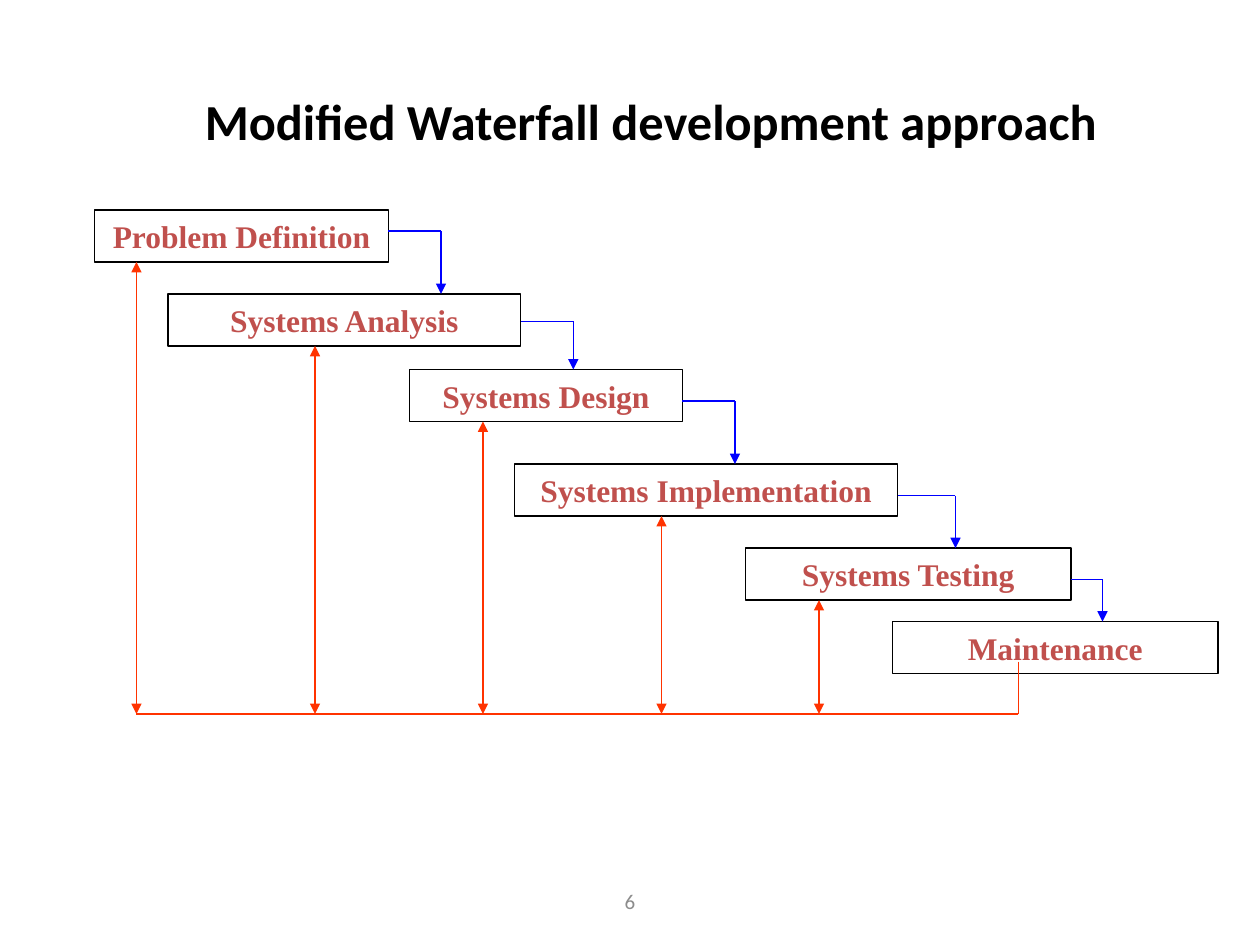
from collections import namedtuple

from lxml import etree
from pptx import Presentation
from pptx.dml.color import RGBColor
from pptx.enum.shapes import MSO_CONNECTOR, MSO_SHAPE
from pptx.enum.text import MSO_ANCHOR, MSO_AUTO_SIZE, PP_ALIGN
from pptx.oxml.ns import qn
from pptx.util import Inches, Pt

CELL = Inches(1) / 12  # the slide is a grid of 120 columns by 90 rows
BOX_ROWS = 4.95
BLACK, GREY, BRICK = "000000", "8C8C8C", "C0504D"
FORWARD, FEEDBACK = "0000FF", "FF3300"

# Columns and rows: box left, top and width; row where the forward arrow
# leaves and column where it turns down; column of the feedback arrow.
Phase = namedtuple("Phase", "name left top width exit_row turn feedback")
PHASES = [
    Phase("Problem Definition", 9, 20, 28, 22, 42, 13),
    Phase("Systems Analysis", 16, 28, 33.6, 30.6, 54.6, 30),
    Phase("Systems Design", 39, 35.2, 26, 38.2, 70, 46),
    Phase("Systems Implementation", 49, 44.2, 36.5, 47.2, 91, 63),
    Phase("Systems Testing", 71, 52.2, 31, 55.2, 105, 78),
    Phase("Maintenance", 85, 59.2, 31, None, None, 97),
]


def grid(*cells):
    return [round(cell * CELL) for cell in cells]


def color(hex_string):
    return RGBColor.from_string(hex_string)


def write(shape, text, font_name, size, hex_color, bold=False):
    """Put one centred line of text in the shape."""
    frame = shape.text_frame
    frame.text = text
    frame.word_wrap = True
    frame.vertical_anchor = MSO_ANCHOR.MIDDLE
    paragraph = frame.paragraphs[0]
    paragraph.alignment = PP_ALIGN.CENTER
    font = paragraph.runs[0].font
    font.name, font.size, font.bold = font_name, Pt(size), bold
    font.color.rgb = color(hex_color)


def add_label(slide, box, text, size, hex_color, bold=False):
    label = slide.shapes.add_textbox(*grid(*box))
    write(label, text, "Calibri", size, hex_color, bold)


def add_line(slide, start, end, hex_color, arrowheads=()):
    """Draw a straight line; arrowheads may name headEnd and tailEnd."""
    line = slide.shapes.add_connector(
        MSO_CONNECTOR.STRAIGHT, *grid(*start, *end))
    line.line.color.rgb = color(hex_color)
    line.line.width = Pt(0.75)
    outline = line.line._get_or_add_ln()
    for arrowhead in arrowheads:
        etree.SubElement(outline, qn(f"a:{arrowhead}"), type="triangle")
    etree.SubElement(line._element.spPr, qn("a:effectLst"))


def add_phase(slide, phase):
    box = slide.shapes.add_shape(
        MSO_SHAPE.RECTANGLE,
        *grid(phase.left, phase.top, phase.width, BOX_ROWS))
    box.shadow.inherit = False
    box.fill.background()
    box.line.color.rgb = color(BLACK)
    box.line.width = Pt(0.75)
    write(box, phase.name, "Times New Roman", 18, BRICK, bold=True)
    box.text_frame.auto_size = MSO_AUTO_SIZE.SHAPE_TO_FIT_TEXT


def add_step_down(slide, phase, following):
    corner = (phase.turn, phase.exit_row)
    side = (phase.left + phase.width, phase.exit_row)
    add_line(slide, side, corner, FORWARD)
    add_line(slide, corner, (phase.turn, following.top), FORWARD, ["tailEnd"])


def add_feedback(slide, phases, row):
    """Join all phases to a return line that runs along the given row."""
    *earlier, last = phases
    add_line(slide, (last.feedback, last.top + 3.8), (last.feedback, row), FEEDBACK)
    add_line(slide, (last.feedback, row), (earlier[0].feedback, row), FEEDBACK)
    for phase in earlier:
        add_line(slide, (phase.feedback, row),
                 (phase.feedback, phase.top + BOX_ROWS),
                 FEEDBACK, ["headEnd", "tailEnd"])


def add_waterfall(slide, phases, feedback_row):
    for phase in phases:
        add_phase(slide, phase)
    for phase, following in zip(phases, phases[1:]):
        add_step_down(slide, phase, following)
    add_feedback(slide, phases, feedback_row)


def main():
    presentation = Presentation()
    presentation.slide_width, presentation.slide_height = grid(120, 90)
    slide = presentation.slides.add_slide(presentation.slide_layouts[6])
    add_label(slide, (0, 8, 124, 7), "Modified Waterfall development approach",
              28.8, BLACK, bold=True)
    add_waterfall(slide, PHASES, feedback_row=68)
    add_label(slide, (41, 83.4, 38, 4.8), "6", 12, GREY)
    presentation.save("out.pptx")


if __name__ == "__main__":
    main()
